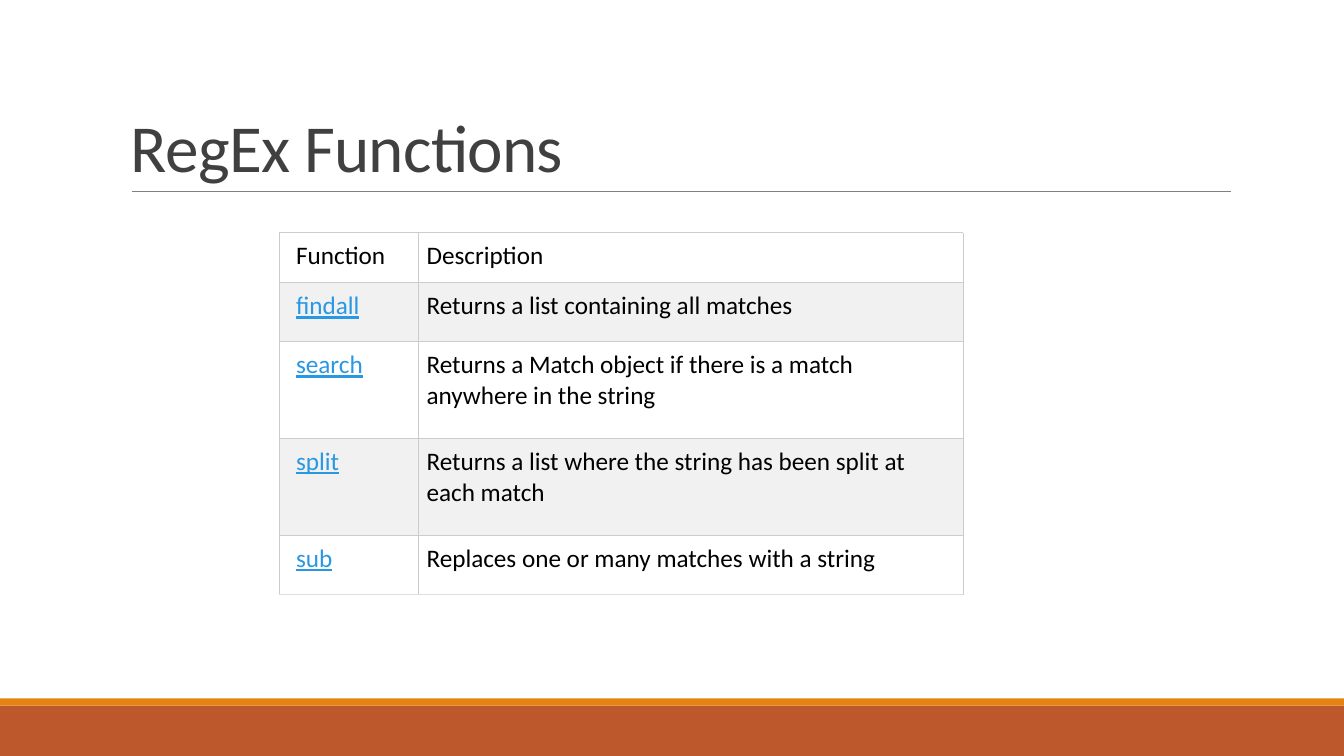
from pptx import Presentation
from pptx.dml.color import RGBColor
from pptx.enum.shapes import MSO_CONNECTOR as Connector, MSO_SHAPE as Preset
from pptx.enum.text import MSO_ANCHOR as Anchor
from pptx.oxml.ns import qn
from pptx.util import Cm, Pt
from lxml.etree import SubElement

FONT = "Calibri"
COLORS = {
    "title": "404040", "rule": "808080", "text": "000000", "link": "2998E3",
    "plain": "FFFFFF", "shaded": "F1F1F1", "border": "CCCCCC", "bottom": "DDDDDD",
    "footer": "BD582C", "stripe": "E48312",
}
ROWS = [
    ("Function", "Description"),
    ("findall", "Returns a list containing all matches"),
    ("search", "Returns a Match object if there is a match anywhere in the string"),
    ("split", "Returns a list where the string has been split at each match"),
    ("sub", "Replaces one or many matches with a string"),
]
COLUMN_WIDTHS = [3.51, 13.72]
ROW_HEIGHTS = [1.26, 1.48, 2.44, 2.44, 1.48]


def color(name):
    return RGBColor.from_string(COLORS[name])


def add_span(para, text, size, color_name, underline=False):
    span = para.add_run()
    span.text = text
    span.font.name = FONT
    span.font.size = Pt(size)
    span.font.underline = underline
    span.font.color.rgb = color(color_name)
    return span


def add_band(page, top, height, color_name):
    band = page.shapes.add_shape(Preset.RECTANGLE, 0, Cm(top), Cm(33.87), Cm(height))
    band.shadow.inherit = False
    band.fill.solid()
    band.fill.fore_color.rgb = color(color_name)
    band.line.fill.background()


def add_rule(page, left, right, top):
    rule = page.shapes.add_connector(
        Connector.STRAIGHT, Cm(left), Cm(top), Cm(right), Cm(top))
    rule.line.color.rgb = color("rule")
    rule.line.width = Pt(0.5)
    SubElement(rule._element.spPr, qn("a:effectLst"))


def add_title(page, text):
    box = page.shapes.add_textbox(Cm(3.05), Cm(0.79), Cm(27.94), Cm(4.04))
    frame = box.text_frame
    frame.word_wrap = True
    frame.vertical_anchor = Anchor.BOTTOM
    para = frame.paragraphs[0]
    para.line_spacing = 0.85
    span = add_span(para, text, 48, "title")
    span.font._element.set("spc", "-50")


def add_borders(cell, bottom):
    properties = cell._tc.get_or_add_tcPr()
    sides = {"lnL": "border", "lnR": "border", "lnT": "border", "lnB": bottom}
    for side, color_name in sides.items():
        line = SubElement(properties, qn(f"a:{side}"), w=str(Pt(0.75)))
        fill = SubElement(line, qn("a:solidFill"))
        SubElement(fill, qn("a:srgbClr"), val=COLORS[color_name])


def fill_cell(cell, text, row, column):
    is_link = row > 0 and column == 0
    cell.margin_left = Cm(0.2 if column else 0.42)
    cell.margin_right = cell.margin_top = cell.margin_bottom = Cm(0.2)
    add_borders(cell, "bottom" if row == len(ROWS) - 1 else "border")
    cell.fill.solid()
    cell.fill.fore_color.rgb = color("shaded" if row % 2 else "plain")
    add_span(cell.text_frame.paragraphs[0], text, 18,
             "link" if is_link else "text", is_link)


def add_function_table(page):
    table = page.shapes.add_table(
        len(ROWS), len(COLUMN_WIDTHS), Cm(7.04), Cm(5.87),
        Cm(sum(COLUMN_WIDTHS)), Cm(sum(ROW_HEIGHTS))).table
    table.first_row = table.horz_banding = False
    for column, width in zip(table.columns, COLUMN_WIDTHS):
        column.width = Cm(width)
    for row, height in zip(table.rows, ROW_HEIGHTS):
        row.height = Cm(height)
    for row, texts in enumerate(ROWS):
        for column, text in enumerate(texts):
            fill_cell(table.cell(row, column), text, row, column)


def main():
    deck = Presentation()
    deck.slide_width, deck.slide_height = Cm(33.87), Cm(19.05)
    page = deck.slides.add_slide(deck.slide_layouts[6])

    # Footer bands
    add_band(page, 17.78, 1.27, "footer")
    add_band(page, 17.6, 0.18, "stripe")

    # Heading with its rule
    add_rule(page, 3.33, 31.01, 4.83)
    add_title(page, "RegEx Functions")

    # Function overview
    add_function_table(page)

    deck.save("out.pptx")


if __name__ == "__main__":
    main()
